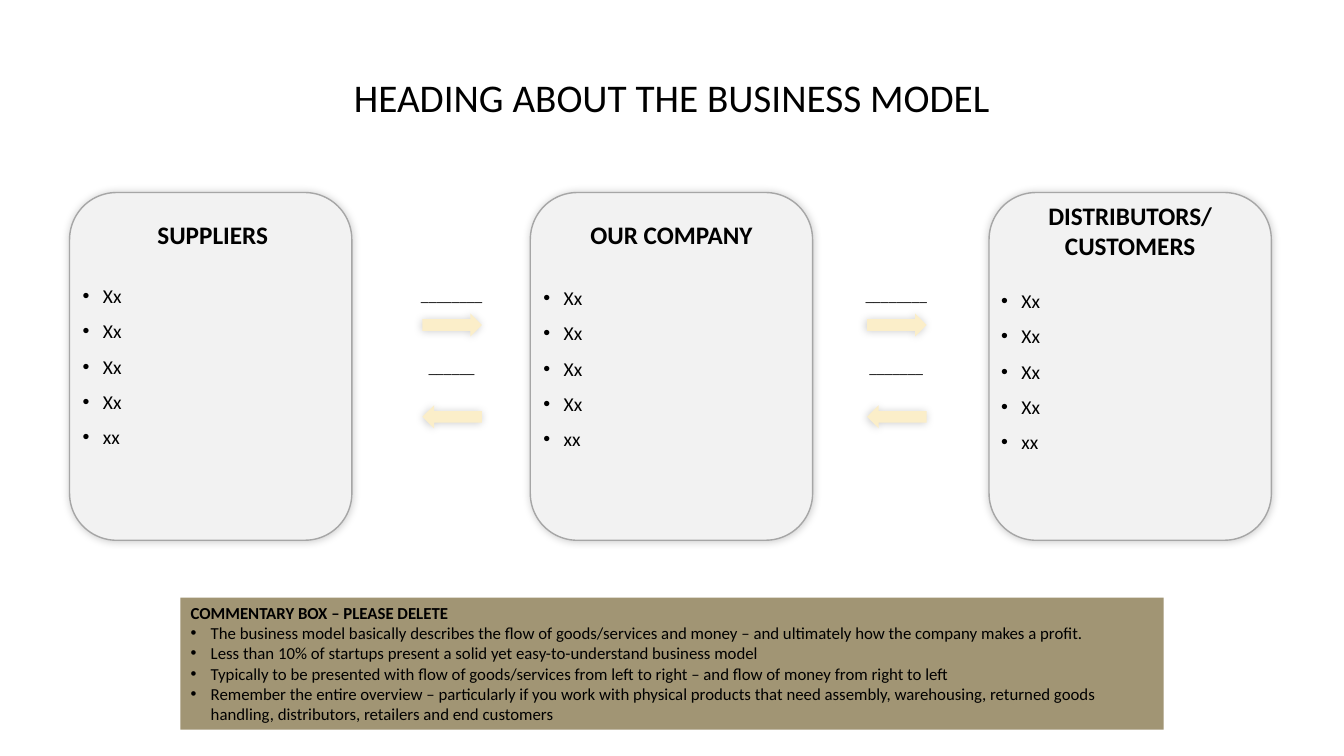
from dataclasses import dataclass

from lxml.etree import SubElement
from pptx import Presentation
from pptx.dml.color import RGBColor
from pptx.enum.shapes import MSO_SHAPE
from pptx.enum.text import MSO_ANCHOR, MSO_AUTO_SIZE, PP_ALIGN
from pptx.oxml.ns import qn
from pptx.util import Emu, Pt

EMU_PER_PX = 9144


@dataclass(frozen=True)
class Theme:
    font: str = "Calibri"
    text: str = "000000"
    card: str = "F2F2F2"
    card_line: str = "A6A6A6"
    arrow: str = "FBEEC9"
    commentary: str = "A19574"
    title_size: int = 28
    heading_size: int = 18
    list_size: int = 14
    commentary_size: int = 12
    label_size: int = 11


THEME = Theme()

LIST_ITEMS = ["Xx", "Xx", "Xx", "Xx", "xx"]
CARDS = [
    {"left": 69, "heading": ["SUPPLIERS"], "heading_box": (3, 22, 278, 40), "list_box": (3, 74, 278, 183)},
    {"left": 526, "heading": ["OUR COMPANY"], "heading_box": (0, 22, 280, 40), "list_box": (3, 76, 278, 183)},
    {"left": 981, "heading": ["DISTRIBUTORS/", "CUSTOMERS"], "heading_box": (0, 3, 280, 71),
     "list_box": (2, 79, 278, 183)},
]
FLOWS = [(419, "________", "______"), (860, "________", "_______")]
COMMENTARY_HEADING = "COMMENTARY BOX – PLEASE DELETE"
COMMENTARY_ITEMS = [
    "The business model basically describes the flow of goods/services and money – "
    "and ultimately how the company makes a profit.",
    "Less than 10% of startups present a solid yet easy-to-understand business model",
    "Typically to be presented with flow of goods/services from left to right – "
    "and flow of money from right to left",
    "Remember the entire overview – particularly if you work with physical products that need assembly, "
    "warehousing, returned goods handling, distributors, retailers and end customers",
]


def px(value):
    return Emu(value * EMU_PER_PX)


def place(shape, box):
    shape.left, shape.top, shape.width, shape.height = map(px, box)


def bring_to_front(shape):
    shape.element.getparent().append(shape.element)


def set_bullet(paragraph, bulleted):
    properties = paragraph._p.get_or_add_pPr()
    properties.set("marL", str(px(20) if bulleted else 0))
    properties.set("indent", str(px(-20) if bulleted else 0))
    if bulleted:
        SubElement(properties, qn("a:buFont"), typeface="Arial")
        SubElement(properties, qn("a:buChar"), char="•")
    else:
        SubElement(properties, qn("a:buNone"))


def write(frame, lines, size, bold=False, align=PP_ALIGN.LEFT, bulleted=False, spacing=1.0, more=False):
    for index, line in enumerate(lines):
        paragraph = frame.add_paragraph() if more or index else frame.paragraphs[0]
        set_bullet(paragraph, bulleted)
        paragraph.alignment = align
        paragraph.line_spacing = spacing
        paragraph.space_before = Pt(0)
        run = paragraph.add_run()
        run.text = line
        run.font.name = THEME.font
        run.font.size = Pt(size)
        run.font.bold = bold
        run.font.color.rgb = RGBColor.from_string(THEME.text)


def prepare(shape, anchor=MSO_ANCHOR.TOP, wrap=True):
    frame = shape.text_frame
    frame.word_wrap = wrap
    frame.auto_size = MSO_AUTO_SIZE.NONE
    frame.vertical_anchor = anchor
    return frame


def add_text(slide, box, lines, size, bold=False, wrap=True):
    text_box = slide.shapes.add_textbox(*map(px, box))
    write(prepare(text_box, wrap=wrap), lines, size, bold, PP_ALIGN.CENTER)


def add_panel(slide, kind, box, color, line_color=None, shadow_distance=0, shadow_angle=225):
    shape = slide.shapes.add_shape(kind, *map(px, box))
    shape.fill.solid()
    shape.fill.fore_color.rgb = RGBColor.from_string(color)
    if line_color:
        shape.line.color.rgb = RGBColor.from_string(line_color)
        shape.line.width = Pt(1)
    else:
        shape.line.fill.background()
    shape.shadow.inherit = False
    effects = shape.element.spPr.find(qn("a:effectLst"))
    shadow = SubElement(effects, qn("a:outerShdw"), blurRad=str(Pt(6)), dist=str(Pt(shadow_distance)),
                        dir=str(shadow_angle * 60000), algn="ctr", rotWithShape="0")
    color_element = SubElement(shadow, qn("a:srgbClr"), val="000000")
    SubElement(color_element, qn("a:alpha"), val="20000")
    return shape


def add_title(slide, box):
    title = slide.shapes.title
    place(title, box)
    write(prepare(title, MSO_ANCHOR.MIDDLE), ["HEADING ABOUT THE BUSINESS MODEL"], THEME.title_size,
          align=PP_ALIGN.CENTER, spacing=0.9)


def add_card(slide, placeholder, card, box):
    left, top = box[:2]
    add_panel(slide, MSO_SHAPE.ROUNDED_RECTANGLE, box, THEME.card, THEME.card_line)
    x, y, width, height = card["heading_box"]
    add_text(slide, (left + x, top + y, width, height), card["heading"], THEME.heading_size, bold=True)
    x, y, width, height = card["list_box"]
    place(placeholder, (left + x, top + y, width, height))
    write(prepare(placeholder), LIST_ITEMS, THEME.list_size, bulleted=True, spacing=1.5)
    bring_to_front(placeholder)


def add_flow(slide, labels, box):
    left, top, width, height = box
    arrow_height = 23
    rows = zip(labels, (0, 71), (32, height - arrow_height), (0, 180))
    for label, label_offset, arrow_offset, rotation in rows:
        label_width = 18 + 8 * len(label)
        label_left = left + (width - label_width) // 2
        add_text(slide, (label_left, top + label_offset, label_width, 29), [label], THEME.label_size, wrap=False)
        arrow = add_panel(slide, MSO_SHAPE.RIGHT_ARROW, (left, top + arrow_offset, width, arrow_height),
                          THEME.arrow, shadow_distance=1, shadow_angle=135)
        arrow.rotation = rotation


def add_commentary(placeholder, box):
    place(placeholder, box)
    placeholder.fill.solid()
    placeholder.fill.fore_color.rgb = RGBColor.from_string(THEME.commentary)
    frame = prepare(placeholder)
    write(frame, [COMMENTARY_HEADING], THEME.commentary_size, bold=True)
    write(frame, COMMENTARY_ITEMS, THEME.commentary_size, bulleted=True, more=True)


def build_business_model(presentation):
    slide = presentation.slides.add_slide(presentation.slide_layouts.get_by_name("Comparison"))
    bodies = [shape for shape in slide.placeholders if shape.placeholder_format.idx in range(1, 5)]
    add_title(slide, (299, 48, 734, 102))
    for placeholder, card in zip(bodies, CARDS):
        add_card(slide, placeholder, card, (card["left"], 191, 280, 345))
    for left, *labels in FLOWS:
        add_flow(slide, labels, (left, 279, 59, 146))
    add_commentary(bodies[-1], (179, 593, 975, 131))


def main():
    presentation = Presentation()
    presentation.slide_width, presentation.slide_height = px(1333), px(750)
    build_business_model(presentation)
    presentation.save("out.pptx")


if __name__ == "__main__":
    main()
